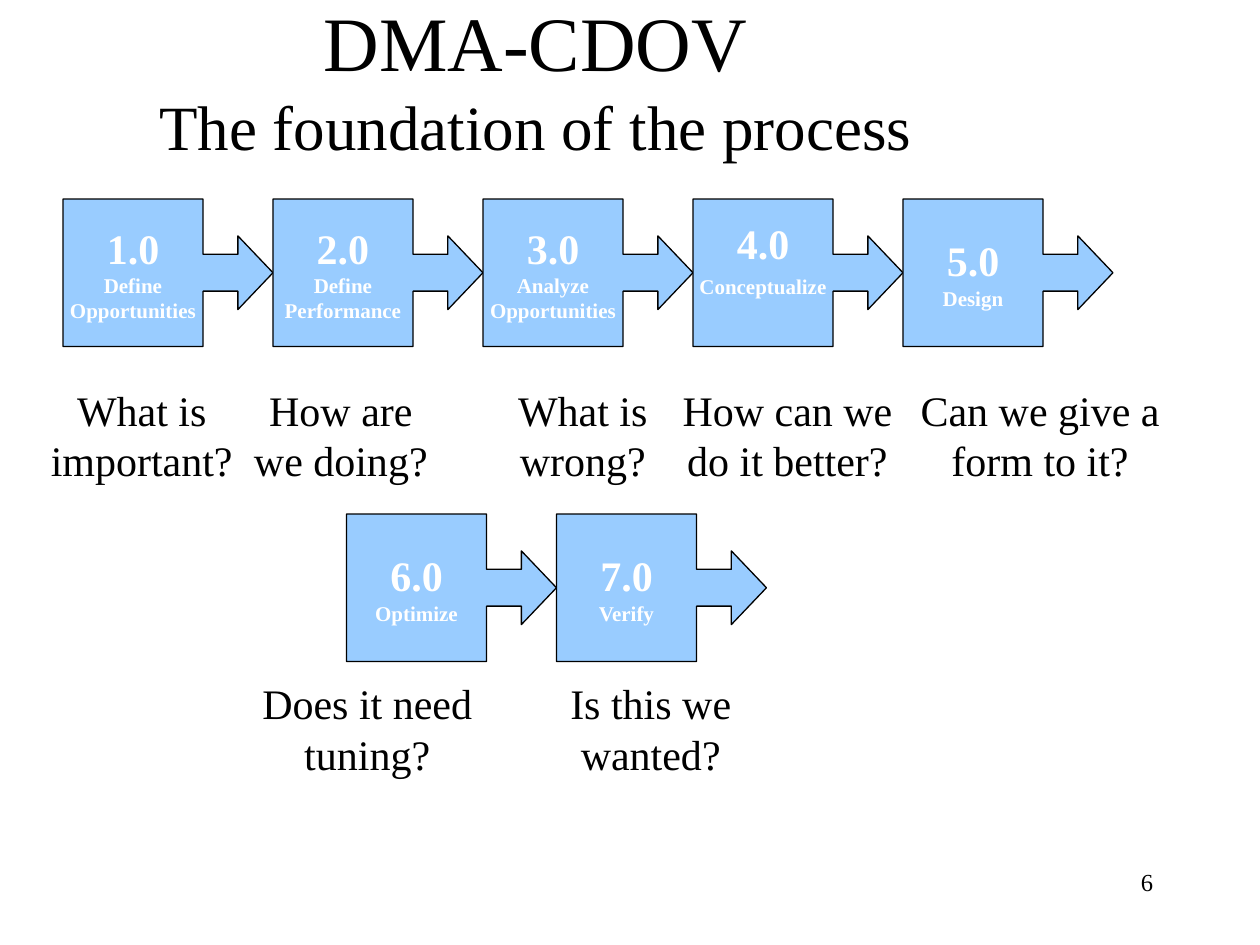
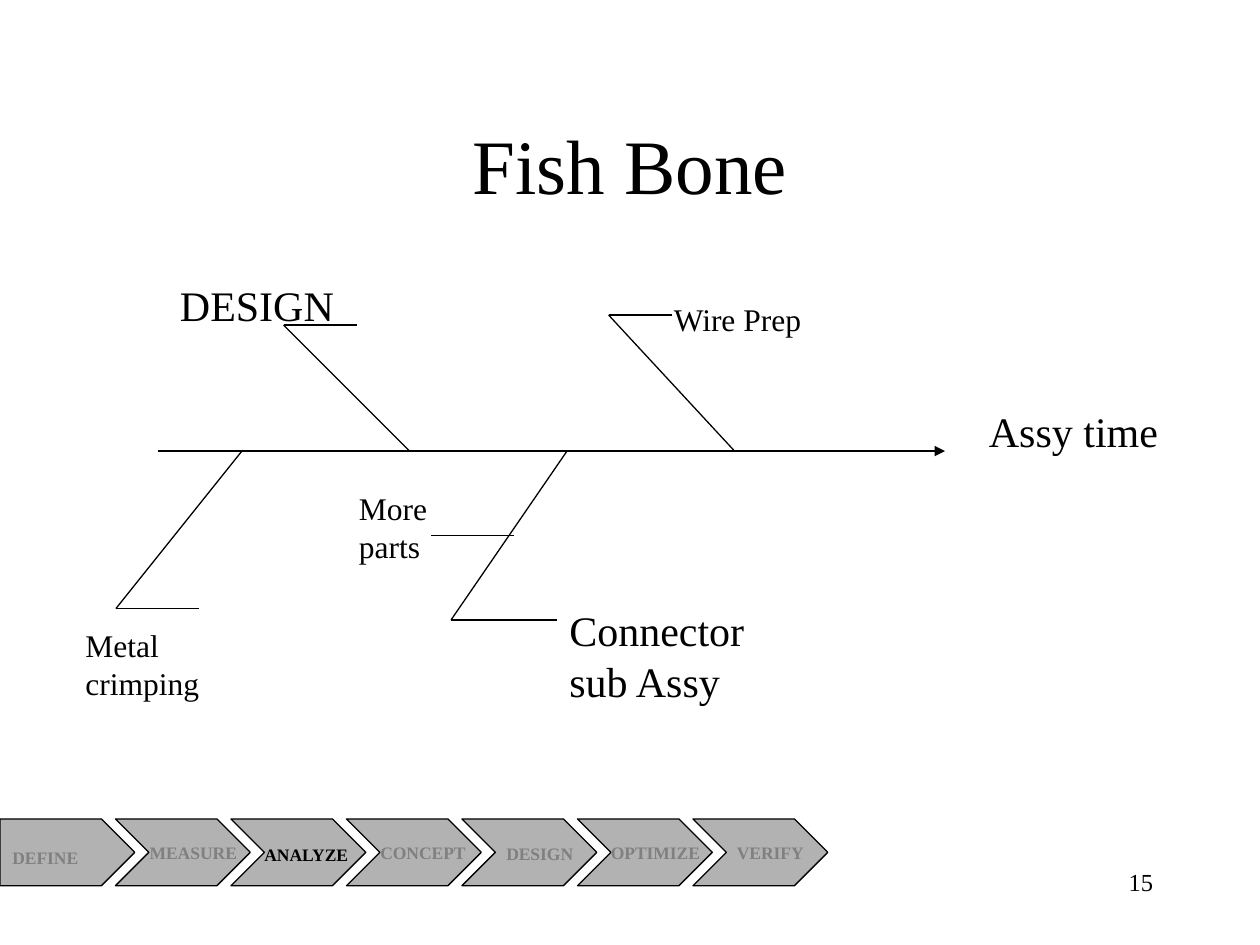
from lxml import etree
from pptx import Presentation
from pptx.dml.color import RGBColor
from pptx.enum.shapes import MSO_CONNECTOR, MSO_SHAPE
from pptx.enum.text import MSO_ANCHOR, PP_ALIGN
from pptx.oxml.ns import qn
from pptx.util import Inches, Pt

LEFT, CENTER, RIGHT = PP_ALIGN.LEFT, PP_ALIGN.CENTER, PP_ALIGN.RIGHT
TOP, MIDDLE = MSO_ANCHOR.TOP, MSO_ANCHOR.MIDDLE
CALLOUT = MSO_SHAPE.RIGHT_ARROW_CALLOUT
PENTAGON, CHEVRON = MSO_SHAPE.PENTAGON, MSO_SHAPE.CHEVRON
STRAIGHT = MSO_CONNECTOR.STRAIGHT

FONT = "Times New Roman"
BLACK = RGBColor(0x00, 0x00, 0x00)
WHITE = RGBColor(0xFF, 0xFF, 0xFF)
BLUE = RGBColor(0x99, 0xCC, 0xFF)
SILVER = RGBColor(0xB2, 0xB2, 0xB2)
GRAY = RGBColor(0x80, 0x80, 0x80)

# Rows of steps: left, top, steps as lines of text
STEP_ROWS = [
    (0.5, 1.58, [
        ("1.0", "Define", "Opportunities"),
        ("2.0", "Define", "Performance"),
        ("3.0", "Analyze", "Opportunities"),
        ("4.0", "Conceptualize"),
        ("5.0", "Design"),
    ]),
    (2.75, 4.08, [("6.0", "Optimize"), ("7.0", "Verify")]),
]
STEP_W, STEP_H = 5 / 3, 1.17
RAISED = "Conceptualize"

# Rows of questions: top, then text, left, width
QUESTION_ROWS = [
    (3, [
        ("What is important?", 0.25, 1.75),
        ("How are we doing?", 1.83, 1.75),
        ("What is wrong?", 3.75, 1.75),
        ("How can we do it better?", 5.25, 2),
        ("Can we give a form to it?", 7.17, 2.17),
    ]),
    (5.33, [
        ("Does it need tuning?", 1.83, 2.17),
        ("Is this we wanted?", 4.08, 2.17),
    ]),
]

# Fish bone: each bone runs from the spine to its tip, then along a flat end
SPINE_Y, SPINE_START, SPINE_END = 3.58, 1.25, 7.5
BONES = [  # spine x, tip x, tip y, end x
    (5.83, 4.83, 2.5, 5.33),
    (4.5, 3.58, 4.92, 4.42),
    (3.25, 2.25, 2.58, 2.83),
    (1.92, 0.92, 4.83, 1.58),
]
TWIG = (4.08, 4.25, 3.42, 4.25)
CAUSES = [  # text, size, left, top, width, height
    ("Assy time", 24, 7.75, 3.17, 2.08, 0.5),
    ("Wire Prep", 18, 5.25, 2.33, 2.17, 0.4),
    ("Connector sub Assy", 24, 4.42, 4.75, 2.08, 0.9),
    ("Metal crimping", 18, 0.58, 4.92, 1.67, 0.7),
    ("More parts", 18, 2.75, 3.83, 1.08, 0.7),
    ("DESIGN", 24, 1.33, 2.17, 2.5, 0.5),
]

# Phase bar: text, left, top, width of each label
PHASES = [
    ("DEFINE", 0, 6.67, 0.83),
    ("MEASURE", 1.09, 6.63, 0.94),
    ("ANALYZE", 2, 6.65, 0.92),
    ("CONCEPT", 2.92, 6.63, 0.92),
    ("DESIGN", 3.92, 6.64, 0.83),
    ("OPTIMIZE", 4.75, 6.63, 0.97),
    ("VERIFY", 5.75, 6.63, 0.83),
]
ACTIVE = "ANALYZE"
PHASE_TOP, PHASE_W, PHASE_H, PHASE_STEP = 6.5, 1.07, 0.53, 5.5 / 6


def style(para, size, color=BLACK, bold=False, align=LEFT):
    para.alignment = align
    font = para.font
    font.name, font.size, font.bold = FONT, Pt(size), bold
    font.color.rgb = color


def add_text(slide, text, size, box, align=LEFT, anchor=TOP,
             color=BLACK, bold=False):
    frame = slide.shapes.add_textbox(*map(Inches, box)).text_frame
    frame.word_wrap = True
    frame.vertical_anchor = anchor
    para = frame.paragraphs[0]
    para.text = text
    style(para, size, color, bold, align)
    return para


def add_title(slide, text, left, top):
    return add_text(slide, text, 44, (left, top, 8.5, 1.25), CENTER, MIDDLE)


def add_number(slide, number):
    add_text(slide, str(number), 14, (7.17, 6.83, 2.08, 0.5), RIGHT)


def add_block(slide, kind, box, fill):
    shape = slide.shapes.add_shape(kind, *map(Inches, box))
    shape.shadow.inherit = False
    shape.fill.solid()
    shape.fill.fore_color.rgb = fill
    shape.line.color.rgb = BLACK
    shape.line.width = Pt(0.75)
    return shape


def add_line(slide, x1, y1, x2, y2, arrow=False):
    line = slide.shapes.add_connector(STRAIGHT, *map(Inches, (x1, y1, x2, y2)))
    line.line.color.rgb = BLACK
    line.line.width = Pt(0.75)
    if arrow:
        etree.SubElement(line.line._get_or_add_ln(), qn("a:tailEnd"),
                         type="triangle")
    etree.SubElement(line._element.spPr, qn("a:effectLst"))


def add_step(slide, lines, left, top):
    shape = add_block(slide, CALLOUT, (left, top, STEP_W, STEP_H), BLUE)
    for i, value in enumerate((0.25, 0.25, 0.238, 0.667)):
        shape.adjustments[i] = value
    frame = shape.text_frame
    frame.word_wrap = False
    frame.vertical_anchor = MIDDLE
    for i, line in enumerate(lines):
        para = frame.add_paragraph() if i else frame.paragraphs[0]
        para.text = line
        style(para, 12 if i else 24, WHITE, True, CENTER)
        if line == RAISED:
            para.space_before = Pt(3)
            frame.margin_bottom = Inches(0.28)


def build_process(slide):
    title = add_title(slide, "DMA-CDOV", 0, 0)
    title.add_line_break()
    run = title.add_run()
    run.text = "The foundation of the process"
    run.font.size = Pt(36)
    for left, top, steps in STEP_ROWS:
        for i, lines in enumerate(steps):
            add_step(slide, lines, left + i * STEP_W, top)
    for top, row in QUESTION_ROWS:
        for text, left, width in row:
            add_text(slide, text, 24, (left, top, width, 0.9), CENTER)
    add_number(slide, 6)


def build_fishbone(slide):
    add_title(slide, "Fish Bone", 0.75, 0.67)
    add_line(slide, SPINE_START, SPINE_Y, SPINE_END, SPINE_Y, arrow=True)
    for root, tip, y, end in BONES:
        add_line(slide, root, SPINE_Y, tip, y)
        add_line(slide, tip, y, end, y)
    add_line(slide, *TWIG)
    for text, size, *box in CAUSES:
        add_text(slide, text, size, box)
    for i in range(len(PHASES)):
        box = (i * PHASE_STEP, PHASE_TOP, PHASE_W, PHASE_H)
        add_block(slide, CHEVRON if i else PENTAGON, box, SILVER)
    for text, left, top, width in PHASES:
        add_text(slide, text, 10, (left, top, width, 0.27), bold=True,
                 color=BLACK if text == ACTIVE else GRAY)
    add_number(slide, 15)


def main():
    deck = Presentation()
    deck.slide_width, deck.slide_height = Inches(10), Inches(7.5)
    for build in (build_process, build_fishbone):
        build(deck.slides.add_slide(deck.slide_layouts[6]))
    deck.save("out.pptx")


if __name__ == "__main__":
    main()
